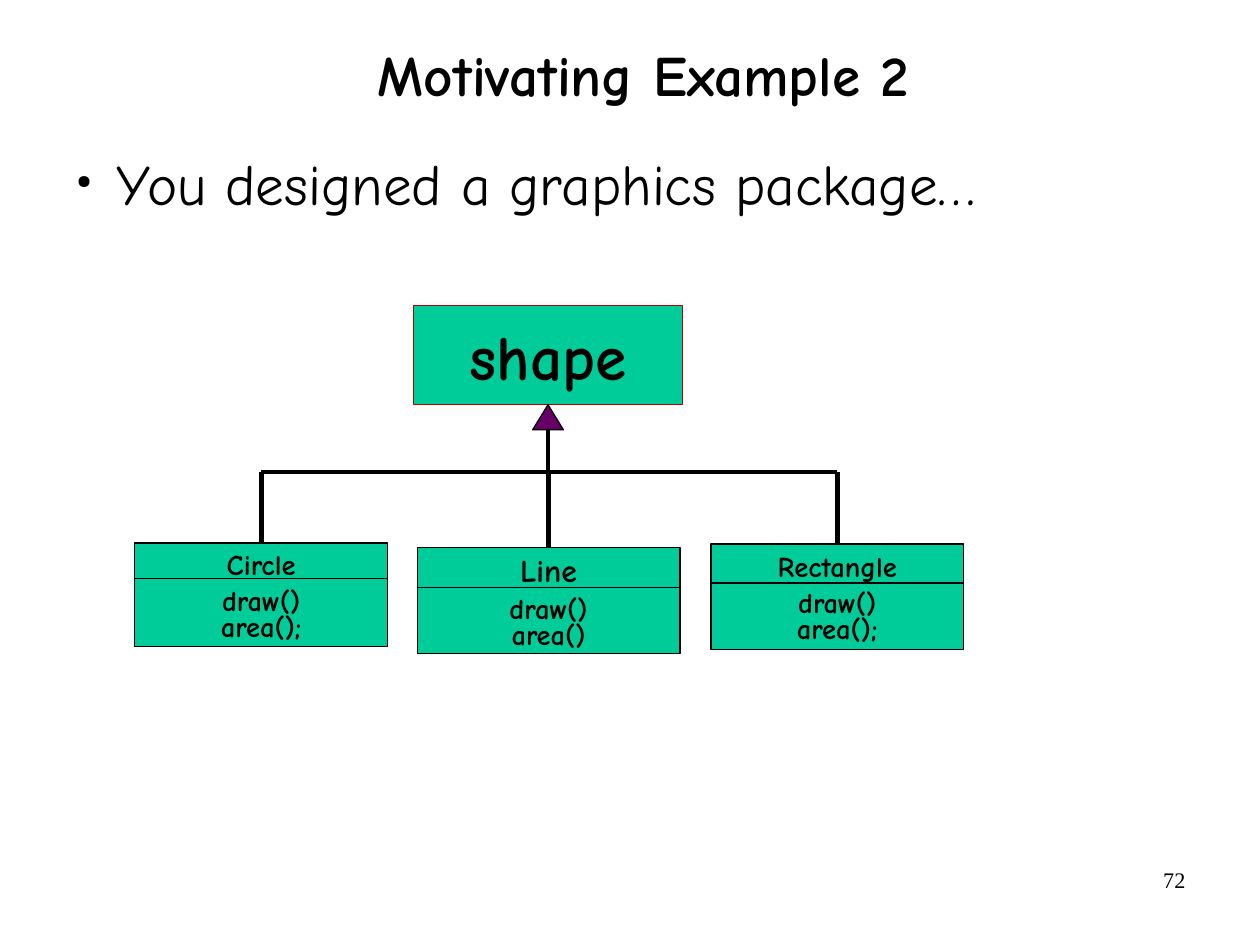
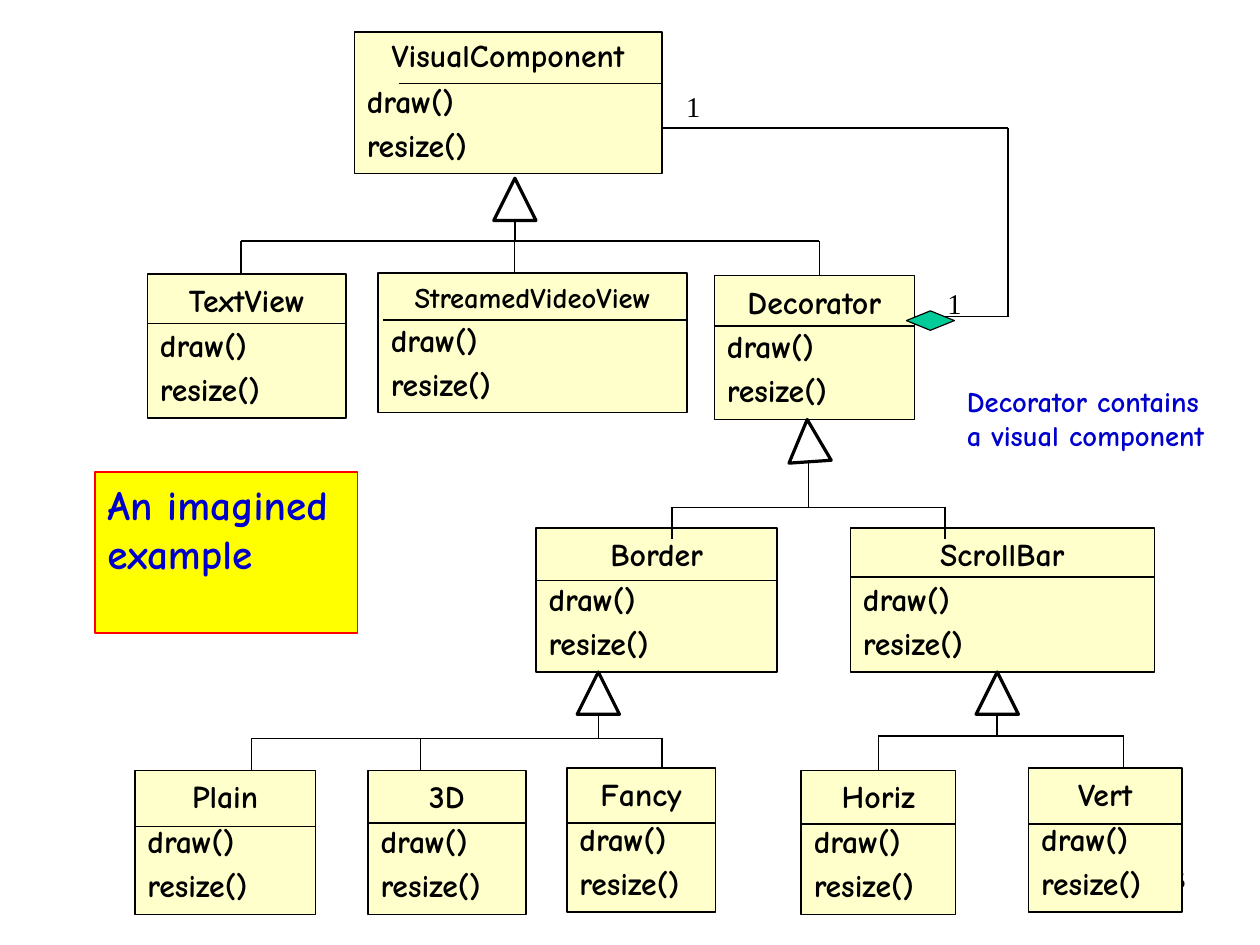
import pptx
import pptx.util
import pptx.dml.color
import pptx.enum.shapes
import pptx.enum.text
import pptx.oxml.ns
from lxml import etree

RGBColor = pptx.dml.color.RGBColor
Pt = pptx.util.Pt
SHAPE = pptx.enum.shapes.MSO_SHAPE
ALIGN = pptx.enum.text.PP_ALIGN
ANCHOR = pptx.enum.text.MSO_ANCHOR
qn = pptx.oxml.ns.qn

BLACK = RGBColor(0, 0, 0)
GREEN = RGBColor(0x00, 0xCC, 0x99)
CREAM = RGBColor(0xFF, 0xFF, 0xCC)
YELLOW = RGBColor(0xFF, 0xFF, 0x00)
PURPLE = RGBColor(0x66, 0x00, 0x66)
BLUE = RGBColor(0x00, 0x00, 0xCC)
RED = RGBColor(0xFF, 0x00, 0x00)
BRICK = RGBColor(0xC0, 0x00, 0x00)

COMIC = "Comic Neue"
ROMAN = "Times New Roman"

WIDTH = pptx.util.Cm(28)
HEIGHT = pptx.util.Cm(21)
# The slide is a grid of square cells, ten to the inch.
CELL = pptx.util.Inches(0.1)
PAD = (1.1, 0.6)


def cells(*counts):
    return [round(count * CELL) for count in counts]


def style(par, size, bold=True, color=BLACK, font=COMIC, align=ALIGN.LEFT):
    par.alignment = align
    for run in par.runs:
        run.font.size = Pt(size)
        run.font.bold = bold
        run.font.name = font
        run.font.color.rgb = color


def fill_text(shape, lines, pad=PAD, wrap=True, anchor=ANCHOR.TOP):
    frame = shape.text_frame
    frame.text = "\n".join(lines)
    frame.word_wrap = wrap
    frame.vertical_anchor = anchor
    frame.margin_left = frame.margin_right = cells(pad[0])[0]
    frame.margin_top = frame.margin_bottom = cells(pad[1])[0]
    return frame.paragraphs


def add_label(slide, box, text, size, pad=PAD, wrap=True,
              anchor=ANCHOR.TOP, **look):
    shape = slide.shapes.add_textbox(*cells(*box))
    par = fill_text(shape, [text], pad, wrap, anchor)[0]
    style(par, size, **look)
    return par


def add_form(slide, kind, box, fill=None, line=BLACK, width=1):
    shape = slide.shapes.add_shape(kind, *cells(*box))
    shape.shadow.inherit = False
    if fill is None:
        shape.fill.background()
    else:
        shape.fill.solid()
        shape.fill.fore_color.rgb = fill
    shape.line.color.rgb = line
    shape.line.width = Pt(width)
    return shape


def add_line(slide, start, end, width=1):
    line = slide.shapes.add_connector(
        pptx.enum.shapes.MSO_CONNECTOR.STRAIGHT, *cells(*start, *end))
    line.line.color.rgb = BLACK
    line.line.width = Pt(width)
    etree.SubElement(line._element.spPr, qn("a:effectLst"))
    return line


def add_class(slide, box, name, rule, inset=0, size=20):
    """Cream class box; rule is the depth of the line below the name."""
    left, top, wide, _ = box
    shape = add_form(slide, SHAPE.RECTANGLE, box, CREAM)
    head, *calls = fill_text(shape, [name, "draw()", "resize()"])
    style(head, size, align=ALIGN.CENTER)
    for par in calls:
        style(par, 20)
        par.space_before = Pt(4)
    add_line(slide, (left + inset, top + rule), (left + wide, top + rule))
    return shape


def add_figure(slide, box, name, calls, rule, size=18):
    """Green class box with centred lines."""
    left, top, wide, _ = box
    shape = add_form(slide, SHAPE.RECTANGLE, box, GREEN, width=0.75)
    pars = fill_text(shape, [name, *calls], wrap=False, anchor=ANCHOR.MIDDLE)
    for par in pars:
        style(par, 18, align=ALIGN.CENTER)
        par.line_spacing = 0.75
    style(pars[0], size, align=ALIGN.CENTER)
    pars[0].line_spacing = 1.0
    pars[0].space_after = Pt(6.1)
    add_line(slide, (left, top + rule), (left + wide, top + rule), 0.75)
    return shape


def add_fan(slide, box, bar, drops, end=None, turn=0, fill=None,
            edge=2, width=1):
    """Triangle in box, a stem to the row bar, and a drop to each child.

    A drop is (child, column); without a column it joins the child's top.
    """
    left, top, wide, high = box
    tip = add_form(slide, SHAPE.ISOSCELES_TRIANGLE, box, fill, width=edge)
    tip.rotation = turn
    mid = left + wide / 2
    add_line(slide, (mid, top + high), (mid, bar), width)
    spots = []
    for child, col in drops:
        joined = col is None
        if joined:
            col = (child.left + child.width / 2) / CELL
        line = add_line(slide, (col, bar), (col, end or child.top / CELL),
                        width)
        if joined:
            line.end_connect(child, 0)
        spots.append(col)
    add_line(slide, (min(spots), bar), (max(spots), bar), width)


def add_bullet(par):
    props = par._p.get_or_add_pPr()
    left, hang = cells(4.6, -3.5)
    props.set("marL", str(left))
    props.set("indent", str(hang))
    etree.SubElement(props, qn("a:buSzPct")).set("val", "33000")
    etree.SubElement(props, qn("a:buChar")).set("char", "●")


def new_slide(deck, number):
    slide = deck.slides.add_slide(deck.slide_layouts[6])
    add_label(slide, (79, 75.3, 25.7, 5.7), number, 14, pad=(1, 0.5),
              bold=False, font=ROMAN, align=ALIGN.RIGHT)
    return slide


def build_shapes(deck):
    slide = new_slide(deck, "72")
    title = add_label(slide, (9.3, 0, 94, 13.7), "Motivating Example 2", 36,
                      pad=(0, 0), anchor=ANCHOR.MIDDLE, align=ALIGN.CENTER)
    title.line_spacing = 0.88
    point = add_label(slide, (5.6, 13, 94, 59.2),
                      "You designed a graphics package…", 36,
                      pad=(0, 0), bold=False)
    add_bullet(point)

    root = add_form(slide, SHAPE.RECTANGLE, (36.2, 26.7, 23.5, 8.7),
                    GREEN, BRICK, 0.75)
    par = fill_text(root, ["shape"], wrap=False, anchor=ANCHOR.MIDDLE)[0]
    style(par, 40, align=ALIGN.CENTER)

    ended = ("draw()", "area();")
    kids = [
        add_figure(slide, (11.8, 47.5, 22.1, 9.1), "Circle", ended, 3.1),
        add_figure(slide, (36.5, 47.9, 23, 9.3), "Line",
                   ("draw()", "area()"), 3.5, 20),
        add_figure(slide, (62.2, 47.6, 22.1, 9.2), "Rectangle", ended, 3.4),
    ]
    add_fan(slide, (46.6, 35.4, 2.7, 2.2), 41.3,
            [(kid, None) for kid in kids], fill=PURPLE, edge=0.75, width=3)


def build_views(deck):
    slide = new_slide(deck, "115")
    root = add_class(slide, (31, 2.8, 26.9, 12.4), "VisualComponent",
                     4.5, 3.9)
    root.text_frame.paragraphs[0].line_spacing = 0.95
    text = add_class(slide, (12.9, 24, 17.4, 12.6), "TextView", 4.3)
    video = add_class(slide, (33.1, 23.9, 27, 12.2), "StreamedVideoView",
                      4.1, 0.4, 18)
    decor = add_class(slide, (62.5, 24.1, 17.5, 12.6), "Decorator", 4.4)
    border = add_class(slide, (46.9, 46.2, 21.1, 12.6), "Border", 4.6)
    scroll = add_class(slide, (74.4, 46.2, 26.6, 12.6), "ScrollBar", 4.3)
    plain = add_class(slide, (11.8, 67.4, 15.8, 12.6), "Plain", 4.9)
    solid = add_class(slide, (32.2, 67.4, 13.8, 12.6), "3D", 4.6)
    fancy = add_class(slide, (49.6, 67.2, 13, 12.6), "Fancy", 4.8)
    horiz = add_class(slide, (70.1, 67.4, 13.5, 12.6), "Horiz", 4.7)
    vert = add_class(slide, (90, 67.2, 13.4, 12.6), "Vert", 4.9)

    tip = (3.7, 3.7)
    add_fan(slide, (43.2, 15.6, *tip), 21.1,
            [(text, 21.1), (video, 45), (decor, 71.7)])
    add_fan(slide, (68.9, 36.7, *tip), 44.4,
            [(border, 58.8), (scroll, 82.7)], end=47.2, turn=-3.9)
    add_fan(slide, (50.5, 58.8, *tip), 64.6,
            [(plain, 22), (solid, 36.8), (fancy, 57.9)])
    add_fan(slide, (85.4, 58.8, *tip), 64.4, [(horiz, None), (vert, 98.3)])

    route = [(57.9, 11.2), (88.2, 11.2), (88.2, 27.7), (80, 27.7)]
    for start, end in zip(route, route[1:]):
        add_line(slide, start, end)
    for box in ((58.8, 7.2, 3.7, 4.1), (81.8, 24.4, 2.7, 4)):
        add_label(slide, box, "1", 18, wrap=False, bold=False, font=ROMAN,
                  align=ALIGN.CENTER)
    add_form(slide, SHAPE.DIAMOND, (79.3, 27.2, 4.2, 1.7), GREEN, width=0.75)

    add_label(slide, (83.5, 33, 23.9, 10.2),
              "Decorator contains a visual component", 18, color=BLUE)
    note = add_form(slide, SHAPE.RECTANGLE, (8.3, 41.3, 23, 14.1),
                    YELLOW, RED)
    style(fill_text(note, ["An imagined example"])[0], 26, color=BLUE)


def main():
    deck = pptx.Presentation()
    deck.slide_width = WIDTH
    deck.slide_height = HEIGHT
    build_shapes(deck)
    build_views(deck)
    deck.save("out.pptx")


if __name__ == "__main__":
    main()
